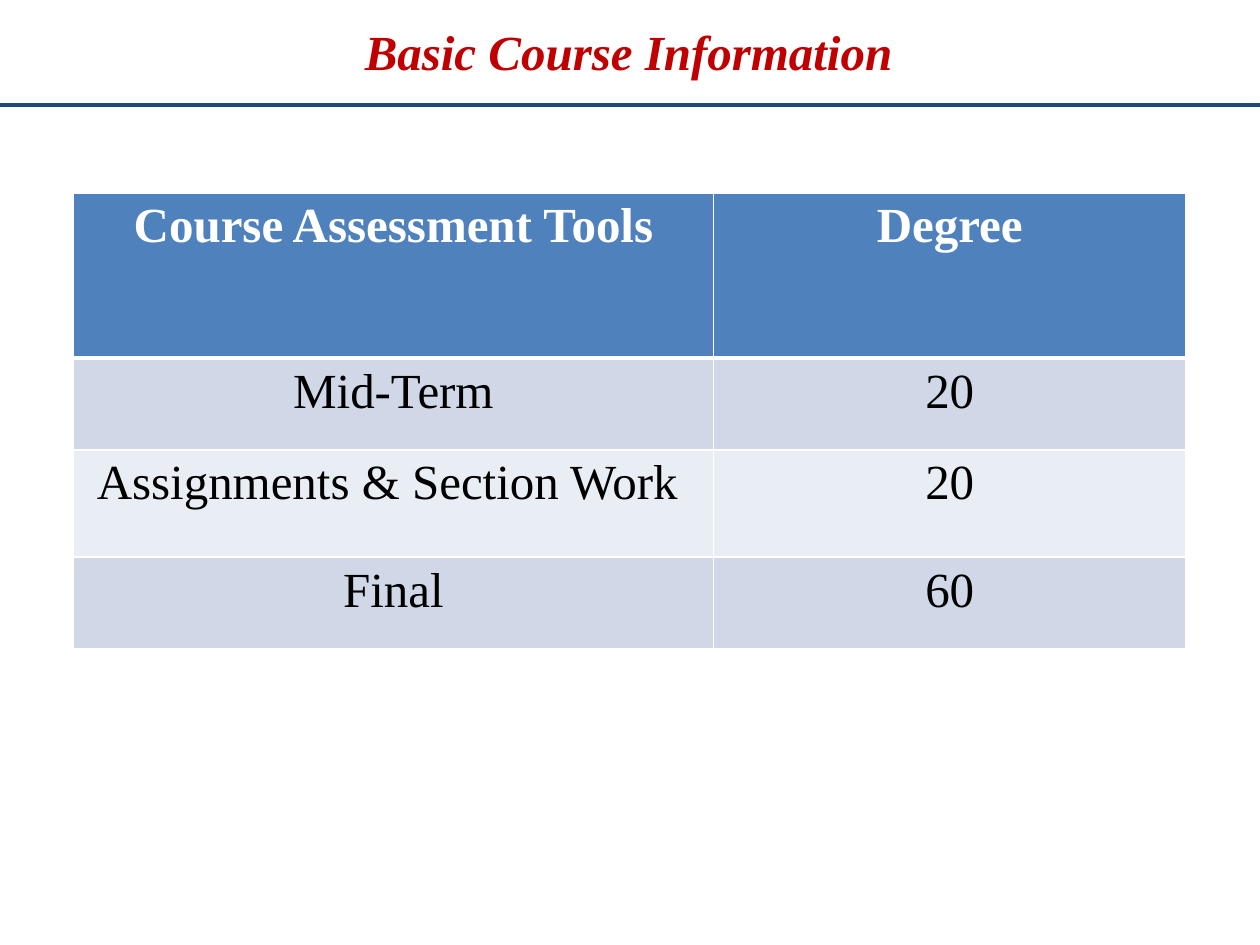
from lxml import etree
from pptx import Presentation
from pptx.dml.color import RGBColor
from pptx.enum.shapes import MSO_CONNECTOR
from pptx.enum.text import MSO_ANCHOR, PP_ALIGN
from pptx.oxml.ns import qn
from pptx.util import Cm, Pt

STRAIGHT = MSO_CONNECTOR.STRAIGHT
CENTER = PP_ALIGN.CENTER
MIDDLE = MSO_ANCHOR.MIDDLE
TOP = MSO_ANCHOR.TOP
FONT = "Times New Roman"
TITLE_ONLY = 5
ROWS = [
    ("Course Assessment Tools", "Degree"),
    ("Mid-Term", "20"),
    ("Assignments & Section Work ", "20"),
    ("Final", "60"),
]
COLUMN_WIDTHS = [12.9, 9.53]
ROW_HEIGHTS = [3.33, 1.85, 2.16, 1.85]


def color(value):
    """Turn a hex string into a colour."""
    return RGBColor.from_string(value)


def write(frame, text, shade, bold=False, italic=False):
    """Write one centred run into a text frame."""
    para = frame.paragraphs[0]
    para.alignment = CENTER
    span = para.add_run()
    span.text = text
    span.font.name = FONT
    span.font.size = Pt(28)
    span.font.bold = bold
    span.font.italic = italic
    span.font.color.rgb = color(shade)


def add_border(cell, side, width):
    """Add a white border to one side of a cell."""
    properties = cell._tc.get_or_add_tcPr()
    line = etree.SubElement(properties, qn("a:ln" + side), w=str(Pt(width)))
    fill = etree.SubElement(line, qn("a:solidFill"))
    etree.SubElement(fill, qn("a:srgbClr"), val="FFFFFF")


def add_heading(page, left, top, width, height):
    """Place the title and the full-width rule beneath it."""
    title = page.shapes.title
    title.left, title.top = Cm(left), Cm(top)
    title.width, title.height = Cm(width), Cm(height)
    title.fill.solid()
    title.fill.fore_color.rgb = color("FFFFFF")
    title.text_frame.vertical_anchor = MIDDLE
    write(title.text_frame, "Basic Course Information", "C00000", True, True)
    rule_top = Cm(top + height + 0.36)
    rule = page.shapes.add_connector(STRAIGHT, 0, rule_top, Cm(25.4), rule_top)
    rule.line.color.rgb = color("1F497D")
    rule.line.width = Pt(2.25)
    etree.SubElement(rule._element.spPr, qn("a:effectLst"))


def add_assessment_table(page, left, top):
    """Place the table of assessment tools and their degrees."""
    table = page.shapes.add_table(
        len(ROWS), len(COLUMN_WIDTHS), Cm(left), Cm(top),
        Cm(sum(COLUMN_WIDTHS)), Cm(sum(ROW_HEIGHTS)),
    ).table
    for column, width in zip(table.columns, COLUMN_WIDTHS):
        column.width = Cm(width)
    for index, (row, height, texts) in enumerate(zip(table.rows, ROW_HEIGHTS, ROWS)):
        row.height = Cm(height)
        header = index == 0
        shade = "4F81BD" if header else ("E9EDF4", "D0D8E8")[index % 2]
        for cell, text in zip(row.cells, texts):
            for side in "LRTB":
                thick = (header and side == "B") or (index == 1 and side == "T")
                add_border(cell, side, 3 if thick else 1)
            cell.fill.solid()
            cell.fill.fore_color.rgb = color(shade)
            cell.vertical_anchor = TOP
            write(cell.text_frame, text, "FFFFFF" if header else "000000", header)


deck = Presentation()
deck.slide_width, deck.slide_height = Cm(25.4), Cm(19.05)
page = deck.slides.add_slide(deck.slide_layouts[TITLE_ONLY])
add_heading(page, 3.78, 0.3, 17.78, 1.45)
add_assessment_table(page, 1.48, 3.89)
deck.save("out.pptx")
